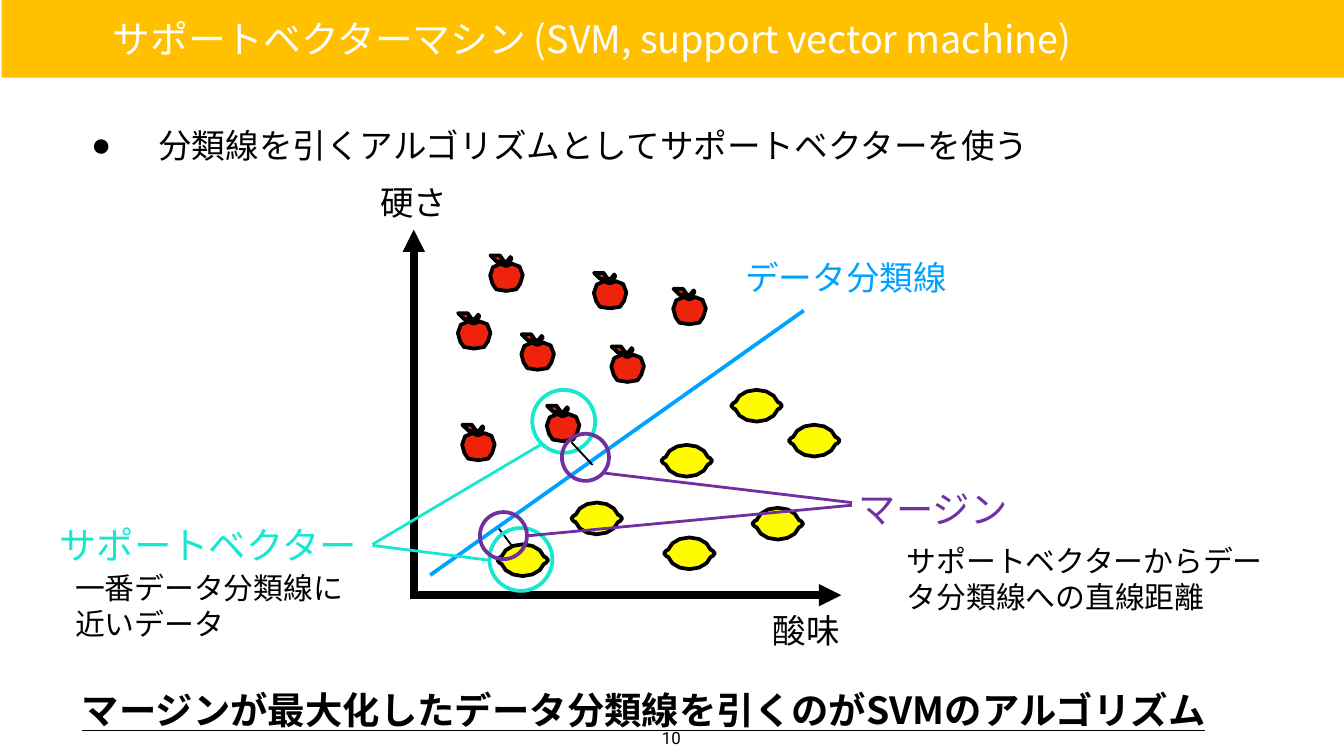
from dataclasses import dataclass
from math import dist

from lxml.etree import SubElement
from pptx import Presentation
from pptx.dml.color import RGBColor
from pptx.enum.shapes import MSO_CONNECTOR, MSO_SHAPE
from pptx.enum.text import MSO_ANCHOR, MSO_AUTO_SIZE, PP_ALIGN
from pptx.oxml.ns import qn
from pptx.util import Cm, Pt


@dataclass(frozen=True)
class Theme:
    font: str = "Noto Sans CJK JP"
    digit: str = "Roboto"
    ink: str = "000000"
    paper: str = "FFFFFF"
    bar: str = "FFC000"
    split: str = "00A2FF"
    support: str = "16E7CF"
    margin: str = "7030A0"
    apple: str = "EE230C"
    lemon: str = "FFFB00"
    title: float = 20.2
    large: float = 20
    label: float = 18
    small: float = 16
    page: float = 9


@dataclass(frozen=True)
class Box:
    """Centimetres from the slide's corner."""
    x: float
    y: float
    w: float
    h: float

    def sub(self, x, y, w, h):
        return Box(self.x + x, self.y + y, w, h)

    def spot(self, x, y):
        return Cm(self.x + x), Cm(self.y + y)

    def rect(self):
        return Cm(self.x), Cm(self.y), Cm(self.w), Cm(self.h)


T = Theme()
APPLE = [  # start, then control, control, end
    (0, 0), (.05, .13), (.18, .14), (.25, .11), (.26, .11), (.29, .13), (.3, .15),
    (.3, .16), (.29, .18), (.29, .2), (.25, .16), (.15, .12), (.05, .22),
    (-.08, .36), (.05, .58), (.11, .64), (.17, .7), (.25, .71), (.3, .67),
    (.36, .71), (.44, .7), (.49, .64), (.55, .58), (.69, .35), (.55, .21),
    (.45, .12), (.36, .16), (.3, .2), (.32, .13), (.36, .08), (.4, .06),
    (.41, .04), (.39, .02), (.38, .03), (.34, .06), (.31, .1), (.3, .13),
    (.28, .11), (.27, .1), (.25, .1), (.25, .07), (.22, .02), (.18, 0),
    (.1, -.03), (.09, .02), (0, 0),
]
LEMON = [  # upper left quarter
    (.48, 0), (.28, 0), (.12, .1), (.08, .23), (.07, .24), (.05, .25), (.04, .25),
    (.02, .26), (0, .28), (0, .3),
]
APPLES = [(1.45, .49), (.84, 1.58), (.92, 3.69), (2.04, 1.98),
          (2.52, 3.33), (3.41, .82), (3.74, 2.21), (4.91, 1.12)]
LEMONS = [(4.68, 4.07), (2.98, 5.16), (4.73, 5.82), (6.4, 5.26),
          (6, 3.03), (1.58, 5.95), (7.09, 3.69)]


def tint(code):
    return RGBColor.from_string(code)


def style(shape, fill=None, line=None, width=2):
    shape.shadow.inherit = False
    if fill:
        shape.fill.solid()
        shape.fill.fore_color.rgb = tint(fill)
    else:
        shape.fill.background()
    if line:
        shape.line.color.rgb = tint(line)
        shape.line.width = Pt(width)
    else:
        shape.line.fill.background()


def write(shape, text, size=T.label, color=T.ink, font=T.font, bold=False,
          under=False, align=PP_ALIGN.CENTER, wrap=False, pad=.15,
          anchor=MSO_ANCHOR.MIDDLE):
    frame = shape.text_frame
    frame.auto_size = MSO_AUTO_SIZE.NONE
    frame.word_wrap = wrap
    frame.vertical_anchor = anchor
    frame.margin_left = frame.margin_right = Cm(pad)
    frame.margin_top = frame.margin_bottom = Cm(pad)
    para = frame.paragraphs[0]
    para.alignment = align
    para.space_before = Pt(0)
    run = para.add_run()
    run.text = text
    run.font.size = Pt(size)
    run.font.bold = bold
    run.font.underline = under
    run.font.color.rgb = tint(color)
    run.font.name = font
    SubElement(run._r.get_or_add_rPr(), qn("a:ea"), typeface=font)
    return para


def label(slide, box, text, **form):
    write(slide.shapes.add_textbox(*box.rect()), text, **form)


def place(shape, box):
    shape.left, shape.top, shape.width, shape.height = box.rect()


def stroke(slide, box, start, end, color, width, head=False):
    line = slide.shapes.add_connector(
        MSO_CONNECTOR.STRAIGHT, *box.spot(*start), *box.spot(*end))
    line.line.color.rgb = tint(color)
    line.line.width = Pt(width)
    props = line.element.spPr
    if head:
        SubElement(props.get_or_add_ln(), qn("a:headEnd"), type="triangle")
    SubElement(props, qn("a:effectLst"))


def ring(slide, box, x, y, size, color, fill=None):
    shape = slide.shapes.add_shape(MSO_SHAPE.OVAL, *box.sub(x, y, size, size).rect())
    style(shape, fill, color)


def trace(knots, gap=.16):
    """Turn joined cubic curves into points about one gap apart."""
    points = [knots[0]]
    for i in range(0, len(knots) - 1, 3):
        curve = knots[i:i + 4]
        steps = max(1, round(sum(map(dist, curve, curve[1:])) / gap))
        for k in range(1, steps + 1):
            t = k / steps
            parts = ((1 - t) ** 3, 3 * t * (1 - t) ** 2, 3 * t * t * (1 - t), t ** 3)
            points.append(tuple(
                sum(part * knot[axis] for part, knot in zip(parts, curve))
                for axis in (0, 1)))
    return points


def mirror(points, w, h):
    """Complete an upper left quarter to a whole outline."""
    half = points + [(x, h - y) for x, y in points[-2::-1]]
    return half + [(w - x, y) for x, y in half[-2:0:-1]]


def fruit(slide, box, outline, spots, fill):
    for x, y in spots:
        points = [box.spot(x + dx, y + dy) for dx, dy in outline]
        pen = slide.shapes.build_freeform(*points[0])
        pen.add_line_segments(points[1:], close=True)
        style(pen.convert_to_shape(), fill, T.ink)


def header(slide, box, text):
    title = slide.shapes.title
    bar = slide.shapes.add_shape(MSO_SHAPE.RECTANGLE, *box.rect())
    style(bar, T.bar)
    title.element.addprevious(bar.element)
    place(title, box.sub(.4, .25, 21.51, .97))
    write(title, text, size=T.title, color=T.paper, wrap=True, pad=.05)


def point(slide, box, text):
    body = slide.placeholders[1]
    place(body, box)
    para = write(body, text, align=PP_ALIGN.LEFT)
    props = para._p.get_or_add_pPr()
    props.set("marL", str(Cm(1.27)))
    props.set("indent", str(-Cm(1.27)))
    SubElement(props, qn("a:buChar"), char="●")
    para.line_spacing = 2.0


def plot(slide, box):
    ring(slide, box, 2.24, 3.03, 1.19, T.support, T.paper)
    stroke(slide, box, (1.6, 5.64), (2.06, 6.25), T.ink, 1)
    stroke(slide, box, (.31, 6.53), (7.37, 1.53), T.split, 2)
    stroke(slide, box, (0, 0), (0, box.h + .08), T.ink, 4, head=True)
    stroke(slide, box, (box.w, box.h), (.08, box.h), T.ink, 4, head=True)
    fruit(slide, box, trace(APPLE), APPLES, T.apple)
    fruit(slide, box, mirror(trace(LEMON), .96, .6), LEMONS, T.lemon)
    label(slide, box.sub(-.78, -1.06, 1.57, 1.07), "硬さ")
    label(slide, box.sub(6.63, 7.04, 1.57, 1.07), "酸味")
    label(slide, box.sub(6.1, .36, 4.14, 1.07), "データ分類線", color=T.split)
    stroke(slide, box, (2.98, 4.02), (3.38, 4.45), T.ink, 1)
    ring(slide, box, 1.43, 5.64, 1.19, T.support)
    for x, y in ((2.8, 3.86), (1.25, 5.34)):
        ring(slide, box, x, y, .89, T.margin)
    for start, end, color in (
            ((2.39, 4.07), (-.78, 5.95), T.support),
            ((1.43, 6.25), (-.78, 5.97), T.support),
            ((3.58, 4.6), (8.28, 5.16), T.margin),
            ((2.14, 5.79), (8.28, 5.21), T.margin)):
        stroke(slide, box, start, end, color, 1.5)


def note(slide, box, term, width, color, text, inset):
    """A coloured term with its meaning at the foot of the box."""
    label(slide, box.sub(0, 0, width, 1.14), term, size=T.large, color=color)
    label(slide, box.sub(inset, box.h - 1.65, box.w - inset, 1.65), text,
          size=T.small, align=PP_ALIGN.LEFT, wrap=True)


def footer(slide, box, text, page):
    label(slide, box.sub(0, 0, box.w, 1.14), text, size=T.large, bold=True, under=True)
    label(slide, box.sub(11.56, .76, .64, .66), page, size=T.page, font=T.digit,
          anchor=MSO_ANCHOR.TOP)


def main():
    deck = Presentation()
    deck.slide_width, deck.slide_height = Cm(25.4), Cm(14.29)
    slide = deck.slides.add_slide(deck.slide_layouts[1])
    header(slide, Box(.03, 0, 25.4, 1.47),
           "サポートベクターマシン (SVM, support vector machine)")
    point(slide, Box(1.57, 1.45, 18.24, 1.83),
          "分類線を引くアルゴリズムとしてサポートベクターを使う")
    plot(slide, Box(7.82, 4.34, 8.08, 6.91))
    note(slide, Box(.94, 9.73, 6.22, 2.54), "サポートベクター", 5.99, T.support,
         "一番データ分類線に近いデータ", .33)
    note(slide, Box(16.08, 9.04, 8.12, 2.72), "マージン", 3.12, T.margin,
         "サポートベクターからデータ分類線への直線距離", .91)
    footer(slide, Box(.81, 12.85, 22.71, 1.42),
           "マージンが最大化したデータ分類線を引くのがSVMのアルゴリズム", "10")
    deck.save("out.pptx")


if __name__ == "__main__":
    main()
